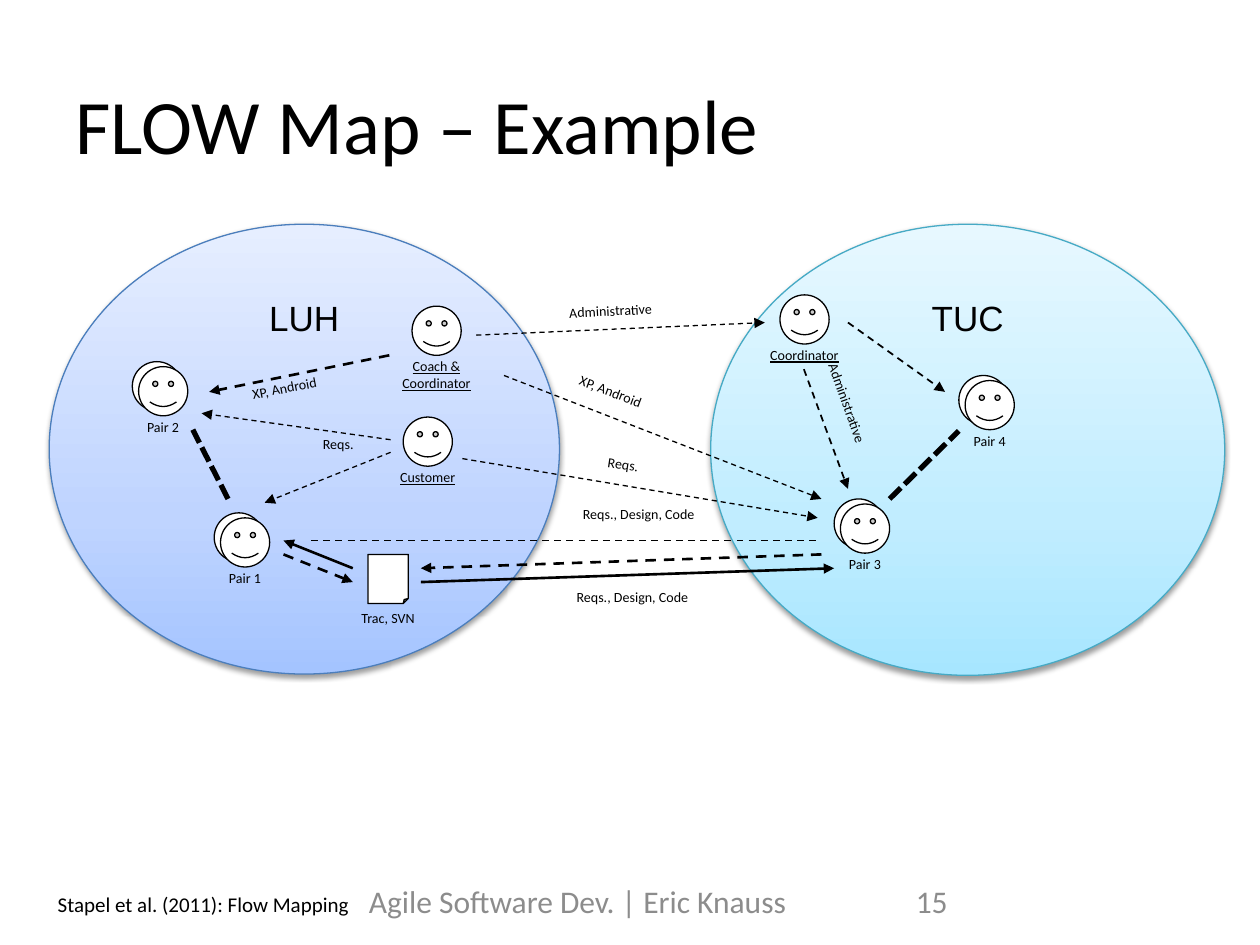
from copy import deepcopy

from pptx import Presentation
from pptx.dml.color import RGBColor
from pptx.enum.dml import MSO_LINE
from pptx.enum.shapes import MSO_CONNECTOR, MSO_SHAPE
from pptx.enum.text import MSO_ANCHOR, PP_ALIGN
from pptx.oxml import parse_xml
from pptx.oxml.ns import nsdecls, qn
from pptx.util import Inches, Pt

LEFT, CENTER = PP_ALIGN.LEFT, PP_ALIGN.CENTER
TOP, MIDDLE = MSO_ANCHOR.TOP, MSO_ANCHOR.MIDDLE
DASH, DOTS = MSO_LINE.DASH, MSO_LINE.SQUARE_DOT
OVAL, SMILEY, SHEET = MSO_SHAPE.OVAL, MSO_SHAPE.SMILEY_FACE, MSO_SHAPE.FOLDED_CORNER
BLACK, WHITE, GRAY = "000000", "FFFFFF", "8C8C8C"
FACE = 0.39
SHADOW = (
    f'<a:outerShdw {nsdecls("a")} blurRad="{Pt(3.1)}" dist="{Pt(1.6)}" dir="5400000" rotWithShape="0">'
    '<a:srgbClr val="000000"><a:alpha val="38000"/></a:srgbClr></a:outerShdw>'
)

# name, left, top within the site, label width, members, underlined
LUH = [
    ("Pair 1", 1.31, 2.29, 0.47, 2, False),
    ("Pair 2", 0.66, 1.09, 0.47, 2, False),
    ("Coach &\nCoordinator", 2.88, 0.65, 0.83, 1, True),
    ("Customer", 2.81, 1.53, 0.74, 1, True),
]
TUC = [
    ("Coordinator", 0.55, 0.56, 0.88, 1, True),
    ("Pair 4", 1.97, 1.2, 0.47, 2, False),
    ("Pair 3", 0.98, 2.18, 0.47, 2, False),
]
# x1, y1, x2, y2 within the map, width, dash, arrow
FLOWS = [
    (1.42, 2.18, 1.14, 1.63, 3, DOTS, False),
    (6.67, 2.18, 7.22, 1.64, 3, DOTS, False),
    (2.7, 1.04, 1.27, 1.33, 1.5, DASH, True),
    (6.34, 0.78, 7.11, 1.33, 1, DASH, True),
    (2.08, 2.51, 6.13, 2.51, 1, DASH, False),
    (3.39, 0.88, 5.68, 0.78, 0.75, DASH, True),
    (6.13, 2.62, 2.95, 2.73, 1.5, DASH, True),
    (2.95, 2.84, 6.23, 2.73, 1.5, None, True),
    (1.86, 2.62, 2.41, 2.84, 1.5, DASH, True),
    (2.41, 2.73, 1.86, 2.51, 1.5, None, True),
    (3.61, 1.2, 6.13, 2.18, 0.75, DASH, True),
    (3.28, 1.86, 6.1, 2.33, 0.75, DASH, True),
    (2.71, 1.81, 1.71, 2.21, 0.75, DASH, True),
    (5.99, 1.15, 6.34, 2.1, 1, DASH, True),
    (2.71, 1.71, 1.21, 1.5, 0.75, DASH, True),
]
# text, left, top within the map, width, rotation, alignment
LABELS = [
    ("Administrative", 4.03, 0.56, 1.22, -2.9, LEFT),
    ("Administrative", 5.74, 1.44, 1.22, 70.3, LEFT),
    ("XP, Android", 4.07, 1.28, 1.13, 20.8, LEFT),
    ("Reqs., Design, Code", 3.81, 2.18, 1.74, 0, CENTER),
    ("Reqs., Design, Code", 3.76, 2.84, 1.74, 0, CENTER),
    ("Reqs.", 4.2, 1.79, 0.7, 8.4, CENTER),
    ("Reqs.", 1.98, 1.63, 0.63, 0, CENTER),
]


def color(code):
    return RGBColor.from_string(code)


def write(frame, text, size, tint=BLACK, font="Calibri", align=LEFT, under=False):
    for num, line in enumerate(text.split("\n")):
        para = frame.add_paragraph() if num else frame.paragraphs[0]
        para.alignment = align
        run = para.add_run()
        run.text = line
        run.font.size = Pt(size)
        run.font.name = font
        run.font.color.rgb = color(tint)
        if under:
            run.font.underline = True


def add_text(slide, box, text, size, pad=(0.1, 0.05), anchor=TOP, turn=0, **look):
    shape = slide.shapes.add_textbox(*map(Inches, box))
    shape.rotation = turn
    frame = shape.text_frame
    frame.word_wrap = True
    frame.vertical_anchor = anchor
    frame.margin_left = frame.margin_right = Inches(pad[0])
    frame.margin_top = frame.margin_bottom = Inches(pad[1])
    write(frame, text, size, **look)


def add_form(slide, kind, box, line=BLACK):
    shape = slide.shapes.add_shape(kind, *map(Inches, box))
    shape.shadow.inherit = False
    shape.fill.solid()
    shape.fill.fore_color.rgb = color(WHITE)
    shape.line.color.rgb = color(line)
    shape.line.width = Pt(0.75)
    return shape


def caption(slide, mid, top, width, text, under=False):
    """Small label centred on mid."""
    high = 0.19 * len(text.split("\n"))
    add_text(slide, (mid - width / 2, top, width, high), text, 8,
             pad=(0.02, 0), align=CENTER, under=under)


def role(slide, x, y, name, width, count, under):
    """One face, or several staggered ones, with a name below."""
    for num in range(count):
        left, top = x + 0.05 * num, y + 0.04 * num
        face = add_form(slide, SMILEY, (left, top, FACE, FACE))
        face.adjustments[0] = 0.047
    caption(slide, left + FACE / 2, top + FACE + 0.02, width, name, under)


def site(slide, box, name, line, stops, team):
    oval = add_form(slide, OVAL, box, line)
    oval.fill.gradient()
    oval.fill.gradient_angle = 90
    props = oval._element.spPr
    grad = props.find(".//" + qn("a:gsLst"))
    grad.insert(1, deepcopy(grad[0]))
    for stop, place, code in zip(oval.fill.gradient_stops, (0, 0.35, 1), stops):
        stop.position = place
        stop.color.rgb = color(code)
    props.find(qn("a:effectLst")).append(parse_xml(SHADOW))
    oval.text_frame.vertical_anchor = TOP
    write(oval.text_frame, name, 20, font="Arial", align=CENTER)
    for who, x, y, width, count, under in team:
        role(slide, box[0] + x, box[1] + y, who, width, count, under)


def store(slide, x, y):
    sheet = add_form(slide, SHEET, (x, y, 0.32, FACE))
    fold = parse_xml(f'<a:gd {nsdecls("a")} name="adj" fmla="val 12500"/>')
    sheet._element.spPr.find(".//" + qn("a:avLst")).append(fold)
    caption(slide, x + 0.16, y + 0.44, 0.78, "Trac, SVN")


def flow(slide, ends, width, dash, arrow):
    link = slide.shapes.add_connector(MSO_CONNECTOR.STRAIGHT, *map(Inches, ends))
    link.line.color.rgb = color(BLACK)
    link.line.width = Pt(width)
    if dash:
        link.line.dash_style = dash
    props = link._element.spPr
    if arrow:
        props.find(qn("a:ln")).append(parse_xml(f'<a:tailEnd {nsdecls("a")} type="triangle"/>'))
    props.append(parse_xml(f'<a:effectLst {nsdecls("a")}/>'))


def flow_map(slide, x, y):
    site(slide, (x + 5.25, y, 4.08, 3.58), "TUC", "46AAC5", ("A7E6FF", "C1EDFF", "E7F8FF"), TUC)
    site(slide, (x, y, 4.05, 3.57), "LUH", "4B7EBC", ("A4C4FF", "BFD4FF", "E6EEFF"), LUH)
    store(slide, x + 2.53, y + 2.62)
    for x1, y1, x2, y2, *look in FLOWS:
        flow(slide, (x + x1, y + y1, x + x2, y + y2), *look)
    for text, left, top, width, turn, align in LABELS:
        add_text(slide, (x + left, y + top, width, 0.33), text, 8, turn=turn, align=align)
    add_text(slide, (x + 1.61, y + 1.2, 0.84, 0.19), "XP, Android", 8, pad=(0, 0), turn=-11.1)


def footer(slide, x, y):
    add_text(slide, (x, y + 0.08, 2.75, 0.3), "Stapel et al. (2011): Flow Mapping", 12)
    add_text(slide, (x + 2.47, y, 4.33, 0.4), "Agile Software Dev. | Eric Knauss", 18,
             anchor=MIDDLE, tint=GRAY)
    add_text(slide, (x + 6.81, y, 2.33, 0.4), "15", 18, anchor=MIDDLE, tint=GRAY)


def main():
    deck = Presentation()
    deck.slide_width, deck.slide_height = Inches(10), Inches(7.5)
    slide = deck.slides.add_slide(deck.slide_layouts[6])
    add_text(slide, (0.5, 0.51, 9, 0.94), "FLOW Map – Example", 44, anchor=MIDDLE)
    flow_map(slide, 0.39, 1.78)
    footer(slide, 0.36, 6.95)
    deck.save("out.pptx")


if __name__ == "__main__":
    main()
